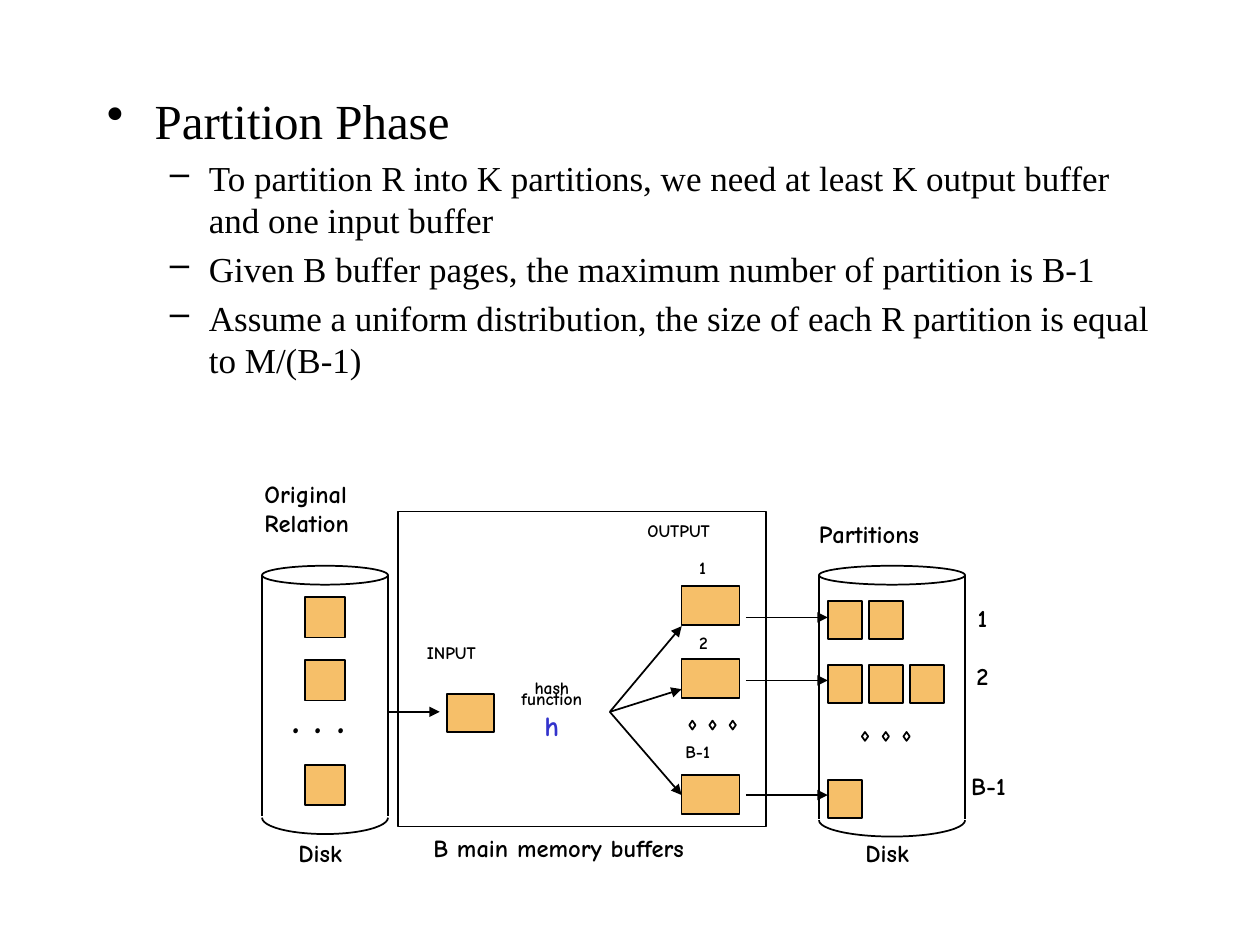
from collections import namedtuple
from dataclasses import dataclass

from lxml import etree
from pptx import Presentation
from pptx.dml.color import RGBColor
from pptx.enum.shapes import MSO_CONNECTOR, MSO_SHAPE
from pptx.enum.text import MSO_ANCHOR, PP_ALIGN
from pptx.oxml.ns import qn
from pptx.util import Inches, Pt

RECT, ELLIPSE = MSO_SHAPE.RECTANGLE, MSO_SHAPE.OVAL
DIAMOND, ARC = MSO_SHAPE.DIAMOND, MSO_SHAPE.ARC
STRAIGHT = MSO_CONNECTOR.STRAIGHT
LEFT, CENTER = PP_ALIGN.LEFT, PP_ALIGN.CENTER
TOP = MSO_ANCHOR.TOP

Box = namedtuple("Box", "x y w h")


@dataclass(frozen=True)
class Theme:
    ink: RGBColor = RGBColor(0x00, 0x00, 0x00)
    page: RGBColor = RGBColor(0xF6, 0xBF, 0x69)
    hash: RGBColor = RGBColor(0x33, 0x33, 0xCC)
    body_font: str = "Times New Roman"
    label_font: str = "Comic Neue"
    heading: int = 28
    point: int = 20
    dots: int = 24
    hash_size: int = 16
    label: int = 14
    small: int = 10
    line: int = 1


THEME = Theme()


def style_font(run, **values):
    color = values.pop("color", THEME.ink)
    for name, value in values.items():
        setattr(run.font, name, value)
    run.font.color.rgb = color


def add_outline(slide, kind, x, y, w, h, fill=None):
    shape = slide.shapes.add_shape(kind, Inches(x), Inches(y), Inches(w), Inches(h))
    shape.shadow.inherit = False
    if fill is None:
        shape.fill.background()
    else:
        shape.fill.solid()
        shape.fill.fore_color.rgb = fill
    shape.line.color.rgb = THEME.ink
    shape.line.width = Pt(THEME.line)
    return shape


def add_line(slide, x1, y1, x2, y2, arrow=False):
    line = slide.shapes.add_connector(
        STRAIGHT, Inches(x1), Inches(y1), Inches(x2), Inches(y2))
    line.line.color.rgb = THEME.ink
    line.line.width = Pt(THEME.line)
    if arrow:
        etree.SubElement(line.line._get_or_add_ln(), qn("a:tailEnd"), type="triangle")
    etree.SubElement(line._element.spPr, qn("a:effectLst"))


def add_label(slide, x, y, w, h, lines, size=THEME.label, align=LEFT):
    label = slide.shapes.add_textbox(Inches(x), Inches(y), Inches(w), Inches(h))
    frame = label.text_frame
    frame.word_wrap = False
    frame.vertical_anchor = TOP
    for i, text in enumerate(lines):
        paragraph = frame.paragraphs[0] if i == 0 else frame.add_paragraph()
        paragraph.alignment = align
        run = paragraph.add_run()
        run.text = text
        style_font(run, name=THEME.label_font, size=Pt(size), bold=True)
    return frame.paragraphs


def add_diamonds(slide, x, y, step):
    for i in range(3):
        add_outline(slide, DIAMOND, x + i * step, y, 0.05, 0.07)


def add_cylinder(slide, box):
    cap = 0.15
    add_outline(slide, ELLIPSE, box.x, box.y, box.w, cap)
    for x in (box.x, box.x + box.w):
        add_line(slide, x, box.y + cap / 2, x, box.y + box.h - 0.14)
    base = add_outline(slide, ARC, box.x, box.y + box.h - 0.26, box.w, 0.26)
    # Arc angles: 0 to 180 degrees, in units of 100000/60000 degree
    base.adjustments[0], base.adjustments[1] = 0, 108


def draw_points(slide, box):
    points = (
        (0, "Partition Phase"),
        (1, "To partition R into K partitions, we need at least K output buffer "
            "and one input buffer"),
        (1, "Given B buffer pages, the maximum number of partition is B-1"),
        (1, "Assume a uniform distribution, the size of each R partition is equal "
            "to M/(B-1)"),
    )
    # bullet, text size, left margin, hanging indent
    levels = (("•", THEME.heading, 0.38, 0.38), ("–", THEME.point, 0.81, 0.31))
    frame = slide.shapes.add_textbox(*map(Inches, box)).text_frame
    frame.word_wrap = True
    for i, (level, text) in enumerate(points):
        bullet, size, margin, hanging = levels[level]
        paragraph = frame.paragraphs[0] if i == 0 else frame.add_paragraph()
        paragraph.level = level
        paragraph.space_before = Pt(size * 0.2)
        props = paragraph._p.get_or_add_pPr()
        props.set("marL", str(Inches(margin)))
        props.set("indent", str(-Inches(hanging)))
        etree.SubElement(props, qn("a:buChar"), char=bullet)
        run = paragraph.add_run()
        run.text = text
        style_font(run, name=THEME.body_font, size=Pt(size))


def draw_relation_disk(slide, box):
    add_label(slide, box.x - 0.08, box.y - 0.74, 1.01, 0.56, ("Original", "Relation"))
    add_cylinder(slide, box)
    side = 0.32
    for offset in (0.25, 0.75, 1.58):
        add_outline(slide, RECT, box.x + (box.w - side) / 2, box.y + offset,
                    side, side, THEME.page)
    add_label(slide, box.x + 0.14, box.y + 0.95, 0.92, 0.5, (". . .",), THEME.dots)
    add_label(slide, box.x + 0.19, box.y + 2.11, 0.59, 0.33, ("Disk",))


def draw_buffers(slide, box):
    x, y = box.x, box.y
    add_outline(slide, RECT, *box)
    add_label(slide, x + 0.18, y + box.h, 2.42, 0.33, ("B main memory buffers",))

    # Input buffer and hash function
    add_label(slide, x + 0.13, y + 0.99, 0.66, 0.26, ("INPUT",), THEME.small)
    add_outline(slide, RECT, x + 0.39, y + 1.45, 0.37, 0.3, THEME.page)
    add_line(slide, x - 0.07, y + 1.59, x + 0.33, y + 1.59, arrow=True)
    _, function, symbol = add_label(
        slide, x + 0.85, y + 1.26, 0.74, 0.61, ("hash", "function", "h"),
        THEME.small, CENTER)
    function.line_spacing = 0.5
    style_font(symbol.runs[0], size=Pt(THEME.hash_size), color=THEME.hash)

    # Output buffers: name, label left/top/width, buffer top, arrow end
    add_label(slide, x + 1.88, y + 0.02, 0.78, 0.26, ("OUTPUT",), THEME.small)
    outputs = (
        ("1", 2.29, 0.31, 0.28, 0.59, 0.91),
        ("2", 2.29, 0.91, 0.28, 1.17, 1.41),
        ("B-1", 2.18, 1.77, 0.45, 2.09, 2.25),
    )
    for name, left, top, width, buffer_top, arrow_end in outputs:
        add_label(slide, x + left, y + top, width, 0.26, (name,), THEME.small)
        add_outline(slide, RECT, x + 2.25, y + buffer_top, 0.46, 0.31, THEME.page)
        add_line(slide, x + 1.68, y + 1.59, x + 2.25, y + arrow_end, arrow=True)
    add_diamonds(slide, x + 2.31, y + 1.66, 0.16)


def draw_partition_disk(slide, box):
    x, y = box.x, box.y
    add_label(slide, x - 0.1, y - 0.42, 1.1, 0.33, ("Partitions",))
    add_cylinder(slide, box)
    # name, label left/top/width, pages, page top, arrow height
    partitions = (
        ("1", 1.16, 0.25, 0.32, 2, 0.28, 0.41),
        ("2", 1.15, 0.71, 0.32, 3, 0.79, 0.91),
        ("B-1", 1.11, 1.58, 0.56, 1, 1.7, 1.82),
    )
    for name, left, top, width, pages, page_top, arrow_y in partitions:
        for i in range(pages):
            add_outline(slide, RECT, x + 0.07 + i * 0.325, y + page_top,
                        0.27, 0.3, THEME.page)
        add_line(slide, x - 0.58, y + arrow_y, x + 0.07, y + arrow_y, arrow=True)
        add_label(slide, x + left, y + top, width, 0.33, (name,))
    add_diamonds(slide, x + 0.34, y + 1.32, 0.165)
    add_label(slide, x + 0.27, y + 2.11, 0.59, 0.33, ("Disk",))


def main():
    deck = Presentation()
    deck.slide_width, deck.slide_height = Inches(10), Inches(7.5)
    slide = deck.slides.add_slide(deck.slide_layouts[6])
    draw_points(slide, Box(0.75, 0.67, 8.5, 3.08))
    draw_buffers(slide, Box(3.16, 4.06, 2.92, 2.5))
    draw_relation_disk(slide, Box(2.08, 4.49, 1, 2.13))
    draw_partition_disk(slide, Box(6.5, 4.49, 1.16, 2.15))
    deck.save("out.pptx")


if __name__ == "__main__":
    main()
